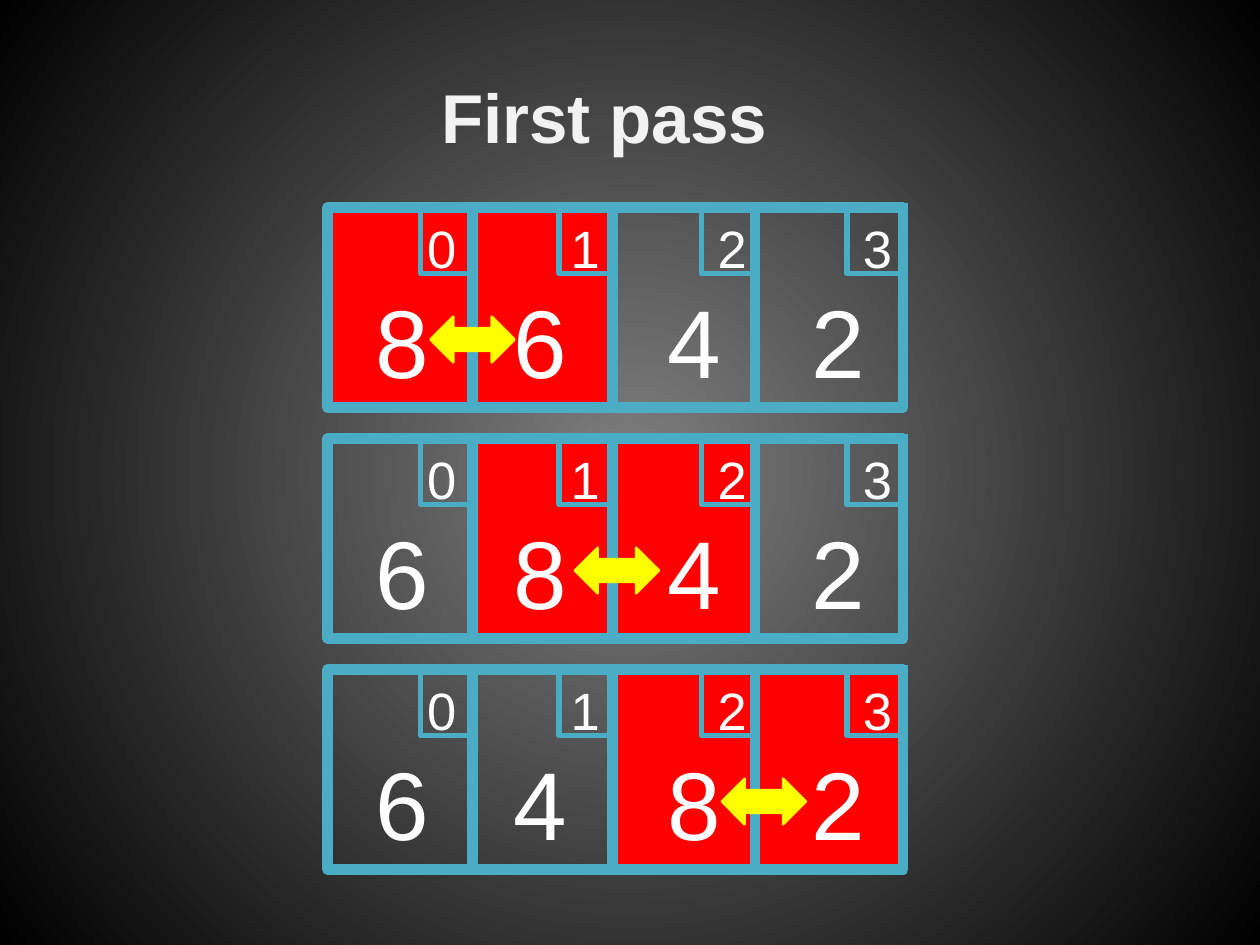
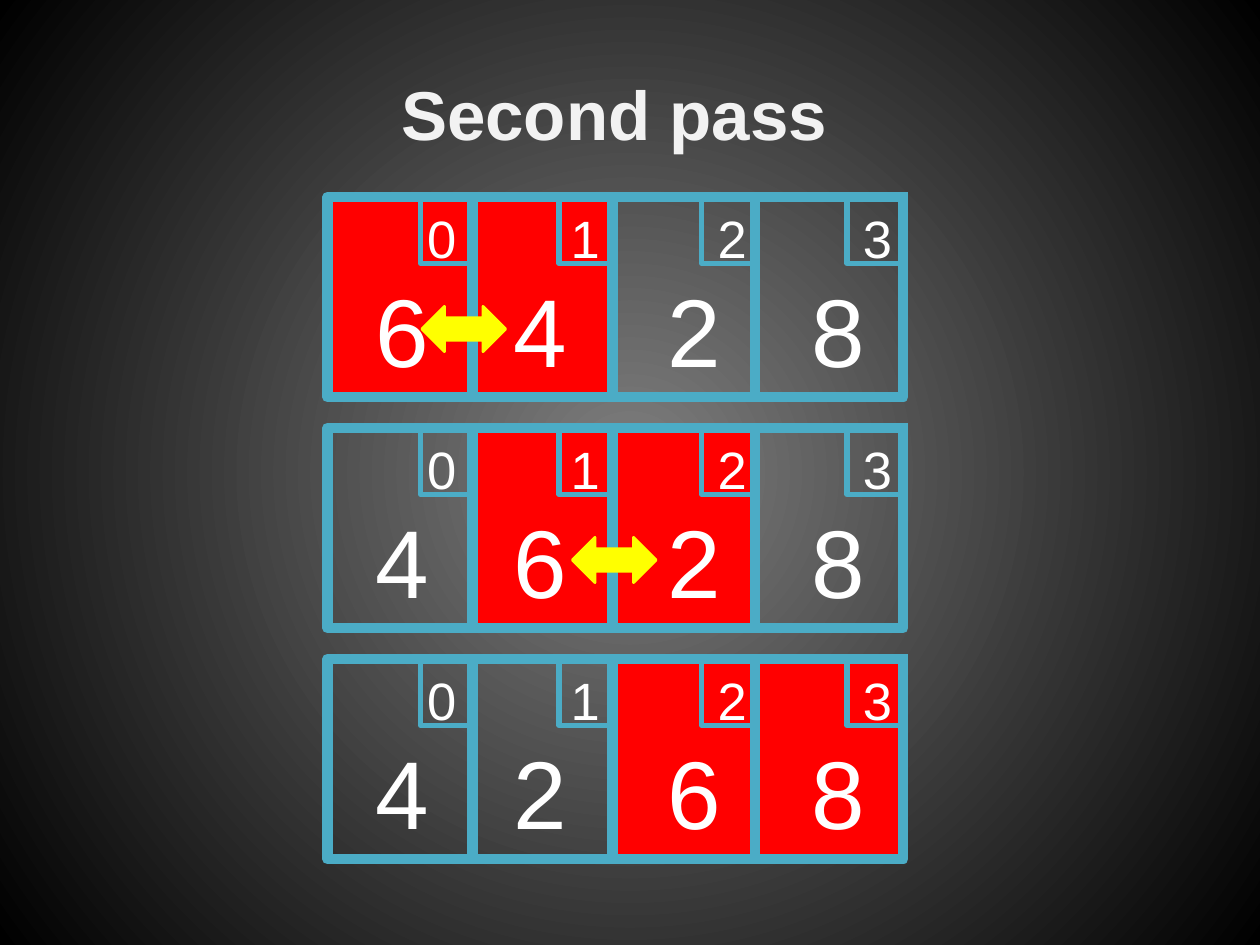
from lxml import etree
from pptx import Presentation
from pptx.dml.color import RGBColor
from pptx.enum import shapes, text
from pptx.oxml.ns import qn
from pptx.util import Pt

COLORS = {"light": "7F7F7F", "dark": "000000", "title": "F2F2F2", "digit": "FFFFFF",
          "frame": "4BACC6", "active": "FF0000", "edge": "1F497D", "arrow": "FFFF00"}
RGB = {name: RGBColor.from_string(c) for name, c in COLORS.items()}
FONT = "Arial"

# Shared grid: x positions per array cell, heights measured from the row top
FRAME_X, FRAME_W, FRAME_H = 187.2, 329, 114.5
CELL_H = 116.5
ROW_STEP = 132
DIVIDERS = [270, 350, 431.5, 516]
INDEX_BOXES = [240.5, 319.5, 401, 484]
INDEX_TEXTS = [(237, 26), (319, 26), (403, 26), (486, 48)]
VALUE_X = [207.5, 286.5, 374.5, 456.5]
ACTIVE_X = [187.2, 270, 352]

# Each row: values, first cell of the compared pair, left of the swap arrow
PASSES = [
    {"title": "First pass", "box": (244.8, 47.5, 211, 37.5),
     "align": text.PP_ALIGN.LEFT, "top": 118.5,
     "rows": [("8642", 0, 246), ("6842", 1, 328.5), ("6482", 2, 412.5)]},
    {"title": "Second pass", "box": (221, 45.5, 260, 37.5),
     "align": text.PP_ALIGN.CENTER, "top": 112.5,
     "rows": [("6428", 0, 241), ("4628", 1, 327), ("4268", 2, None)]},
]


def add_box(parent, kind, x, y, w, h, line, width, fill=None):
    sp = parent.add_shape(kind, Pt(x), Pt(y), Pt(w), Pt(h))
    sp.shadow.inherit = False
    if fill:
        sp.fill.solid()
        sp.fill.fore_color.rgb = RGB[fill]
    else:
        sp.fill.background()
    sp.line.color.rgb = RGB[line]
    sp.line.width = Pt(width)


def add_digit(parent, digit, x, y, w, h, size, anchor):
    tf = parent.add_textbox(Pt(x), Pt(y), Pt(w), Pt(h)).text_frame
    tf.word_wrap = True
    tf.vertical_anchor = anchor
    tf.margin_left = tf.margin_right = tf.margin_top = tf.margin_bottom = Pt(7.2)
    tf.text = digit
    f = tf.paragraphs[0].runs[0].font
    f.name, f.size, f.color.rgb = FONT, Pt(size), RGB["digit"]


prs = Presentation()
prs.slide_width, prs.slide_height = Pt(720), Pt(540)

# Radial background on the master
fill = prs.slide_master.background.fill
fill.gradient()
for stop, name in zip(fill.gradient_stops, ("light", "dark")):
    stop.color.rgb = RGB[name]
grad = prs.slide_master.element.find(".//" + qn("p:bg") + "//" + qn("a:gradFill"))
grad.remove(grad.find(qn("a:lin")))
radial = etree.SubElement(grad, qn("a:path"), path="circle")
etree.SubElement(radial, qn("a:fillToRect"), l="50000", t="50000", r="50000", b="50000")

RECT = shapes.MSO_SHAPE.RECTANGLE
ARROW = shapes.MSO_SHAPE.LEFT_RIGHT_ARROW

for sort_pass in PASSES:
    s = prs.slides.add_slide(prs.slide_layouts[5])

    # Title
    title = s.shapes.title
    title.left, title.top, title.width, title.height = map(Pt, sort_pass["box"])
    tf = title.text_frame
    tf.text = sort_pass["title"]
    tf.word_wrap = True
    tf.auto_size = text.MSO_AUTO_SIZE.NONE
    tf.vertical_anchor = text.MSO_ANCHOR.MIDDLE
    p = tf.paragraphs[0]
    p.alignment = sort_pass["align"]
    f = p.runs[0].font
    f.name, f.size, f.bold, f.color.rgb = FONT, Pt(39.5), True, RGB["title"]

    for i, (values, pair, arrow_x) in enumerate(sort_pass["rows"]):
        y = sort_pass["top"] + i * ROW_STEP

        # Compared pair
        add_box(s.shapes, RECT, ACTIVE_X[pair], y, 163.5, CELL_H, "edge", 1.5, "active")

        # Array frame, dividers and digits
        row = s.shapes.add_group_shape().shapes
        add_box(row, RECT, FRAME_X, y, FRAME_W, FRAME_H, "frame", 6)
        for x in DIVIDERS:
            ln = row.add_connector(shapes.MSO_CONNECTOR.STRAIGHT,
                                   Pt(x), Pt(y - 2.5), Pt(x), Pt(y - 2.5 + CELL_H))
            ln.line.color.rgb = RGB["frame"]
            ln.line.width = Pt(6)
            etree.SubElement(ln._element.spPr, qn("a:effectLst"))
        for cell, value in enumerate(values):
            add_box(row, RECT, INDEX_BOXES[cell], y, 31, 38, "frame", 3)
            index_x, index_w = INDEX_TEXTS[cell]
            add_digit(row, str(cell), index_x, y - 2, index_w, 42, 30, text.MSO_ANCHOR.TOP)
            add_digit(row, value, VALUE_X[cell], y + 17.5, 70.5, CELL_H, 55,
                      text.MSO_ANCHOR.MIDDLE)

        # Swap arrow
        if arrow_x:
            add_box(s.shapes, ARROW, arrow_x, y + 62.5, 48, 26, "arrow", 1.5, "arrow")

prs.save("out.pptx")
